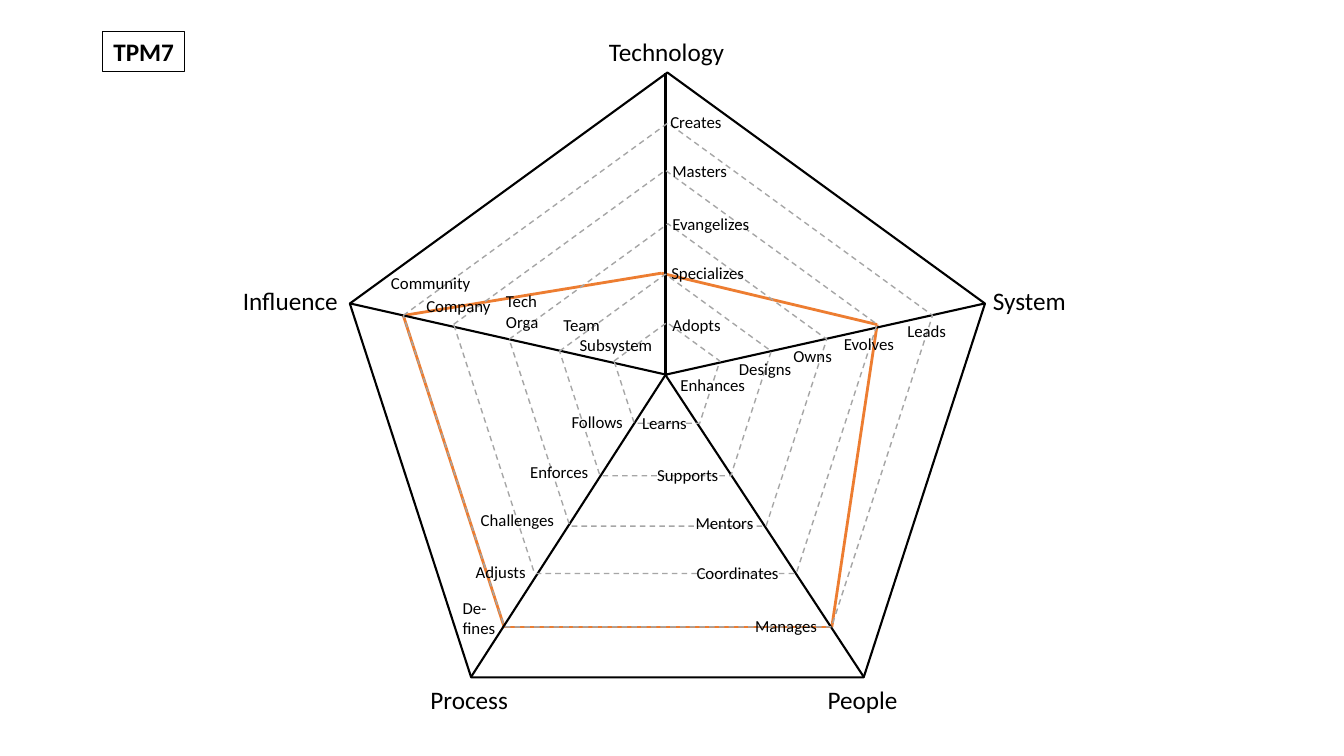
from lxml import etree
from pptx import Presentation
from pptx.dml.color import RGBColor
from pptx.enum.dml import MSO_LINE_DASH_STYLE as DASH
from pptx.enum.shapes import MSO_CONNECTOR, MSO_SHAPE
from pptx.enum.text import MSO_ANCHOR, MSO_AUTO_SIZE, PP_ALIGN
from pptx.oxml.ns import qn
from pptx.util import Inches, Pt

BLACK = RGBColor(0x00, 0x00, 0x00)
GREY = RGBColor(0xA6, 0xA6, 0xA6)
ORANGE = RGBColor(0xED, 0x7D, 0x31)

FONT = "Calibri"
LEVELS = 6
OUTER_WIDTH, OUTER_HEIGHT = 6.3, 6

# Left and top of each inner ring, from level 5 down to level 1
RING_CORNERS = [(4, 1.22), (4.5, 1.69), (5.05, 2.22), (5.55, 2.72), (6.09, 3.2)]

# Centre end and outer end of each axis
AXES = [
    ((6.6, 3.72), (6.6, 0.72)),
    ((6.6, 3.72), (4.67, 6.72)),
    ((6.6, 3.72), (8.57, 6.72)),
    ((6.62, 3.72), (3.47, 3.01)),
    ((6.59, 3.72), (9.77, 3.01)),
]

# Edges of the rated profile
PROFILE = [
    ((6.56, 2.71), (4, 3.13)),
    ((6.56, 2.71), (8.7, 3.22)),
    ((5, 6.22), (4, 3.13)),
    ((4.98, 6.22), (8.25, 6.22)),
    ((8.7, 3.22), (8.25, 6.22)),
]

# Axis titles: text, left, top, width
TITLES = [
    ("Technology", 5.94, 0.31, 1.36),
    ("System", 9.75, 2.78, 0.93),
    ("Influence", 2.31, 2.78, 1.16),
    ("People", 8.11, 6.74, 0.9),
    ("Process", 4.17, 6.74, 0.98),
]

# Level names by axis, from the centre outwards: text, left, top, width
LEVEL_NAMES = {
    "Technology": [
        ("Adopts", 6.57, 3.07, 0.69),
        ("Specializes", 6.56, 2.56, 0.93),
        ("Evangelizes", 6.57, 2.07, 0.97),
        ("Masters", 6.57, 1.55, 0.75),
        ("Creates", 6.55, 1.06, 0.72),
    ],
    "System": [
        ("Enhances", 6.65, 3.67, 0.85),
        ("Designs", 7.23, 3.51, 0.73),
        ("Owns", 7.77, 3.38, 0.59),
        ("Evolves", 8.27, 3.26, 0.71),
        ("Leads", 8.9, 3.13, 0.59),
    ],
    "Influence": [
        ("Subsystem", 5.65, 3.27, 0.93),
        ("Team", 5.49, 3.07, 0.57),
        ("Tech\nOrga", 4.92, 2.84, 0.55),
        ("Company", 4.13, 2.88, 0.84),
        ("Community", 3.78, 2.66, 1),
    ],
    "People": [
        ("Learns", 6.27, 4.05, 0.65),
        ("Supports", 6.42, 4.56, 0.81),
        ("Mentors", 6.8, 5.04, 0.78),
        ("Coordinates", 6.81, 5.53, 1.02),
        ("Manages", 7.39, 6.06, 0.82),
    ],
    "Process": [
        ("Follows", 5.57, 4.04, 0.72),
        ("Enforces", 5.16, 4.53, 0.79),
        ("Challenges", 4.67, 5.01, 0.94),
        ("Adjusts", 4.62, 5.52, 0.7),
        ("De-\nfines", 4.49, 5.88, 0.53),
    ],
}


def write_text(frame, text, size, bold=False, align=PP_ALIGN.LEFT):
    frame.word_wrap = False
    frame.auto_size = MSO_AUTO_SIZE.SHAPE_TO_FIT_TEXT
    for index, line in enumerate(text.split("\n")):
        paragraph = frame.add_paragraph() if index else frame.paragraphs[0]
        paragraph.alignment = align
        run = paragraph.add_run()
        run.text = line
        run.font.name = FONT
        run.font.size = Pt(size)
        run.font.bold = bold
        run.font.color.rgb = BLACK


def add_label(slide, text, left, top, width, height, size):
    label = slide.shapes.add_textbox(
        Inches(left), Inches(top), Inches(width), Inches(height))
    write_text(label.text_frame, text, size)


def add_outline(slide, preset, left, top, width, height, color, weight):
    outline = slide.shapes.add_shape(
        preset, Inches(left), Inches(top), Inches(width), Inches(height))
    outline.shadow.inherit = False
    outline.fill.background()
    outline.line.color.rgb = color
    outline.line.width = Pt(weight)
    return outline


def add_pentagon(slide, left, top, level, color, weight):
    scale = level / LEVELS
    return add_outline(slide, MSO_SHAPE.REGULAR_PENTAGON, left, top,
                       OUTER_WIDTH * scale, OUTER_HEIGHT * scale, color, weight)


def add_line(slide, start, end, color, weight):
    ends = [Inches(value) for value in (*start, *end)]
    line = slide.shapes.add_connector(MSO_CONNECTOR.STRAIGHT, *ends)
    line.line.color.rgb = color
    line.line.width = Pt(weight)
    etree.SubElement(line._element.spPr, qn("a:effectLst"))


def main():
    prs = Presentation()
    prs.slide_width, prs.slide_height = Inches(13.33), Inches(7.5)
    slide = prs.slides.add_slide(prs.slide_layouts[6])

    # Role tag
    role = add_outline(slide, MSO_SHAPE.RECTANGLE, 1.02, 0.31, 0.81, 0.4, BLACK, 0.75)
    role.text_frame.vertical_anchor = MSO_ANCHOR.MIDDLE
    write_text(role.text_frame, "TPM7", 18, bold=True, align=PP_ALIGN.CENTER)

    # Rated profile, beneath the grid
    for start, end in PROFILE:
        add_line(slide, start, end, ORANGE, 2)

    # Outer pentagon, axes and dashed rings
    add_pentagon(slide, 3.47, 0.72, LEVELS, BLACK, 1.5)
    for centre, tip in AXES:
        add_line(slide, centre, tip, BLACK, 1.5)
    for step, (left, top) in enumerate(RING_CORNERS, start=1):
        ring = add_pentagon(slide, left, top, LEVELS - step, GREY, 1)
        ring.line.dash_style = DASH.DASH

    # Axis titles and level names
    for text, left, top, width in TITLES:
        add_label(slide, text, left, top, width, 0.4, 18)
    for names in LEVEL_NAMES.values():
        for text, left, top, width in names:
            height = 0.5 if "\n" in text else 0.3
            add_label(slide, text, left, top, width, height, 12)

    prs.save("out.pptx")


main()
